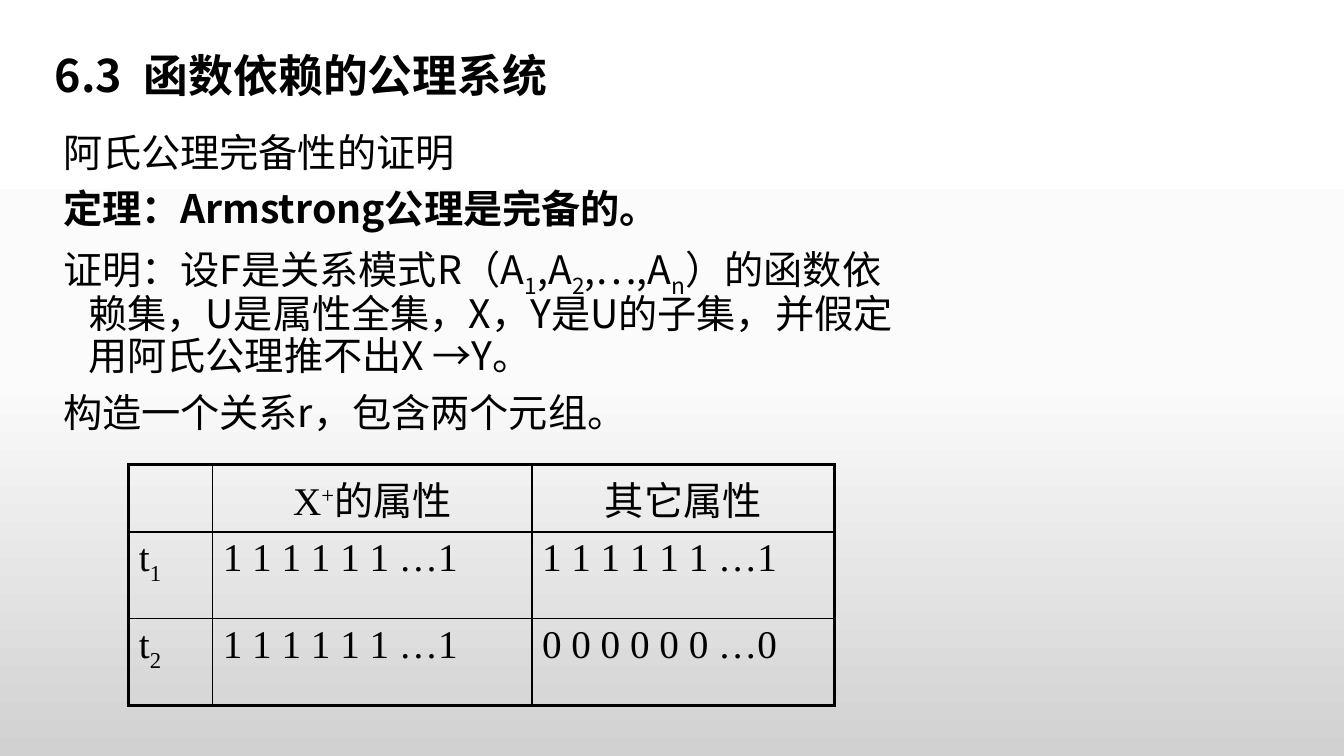
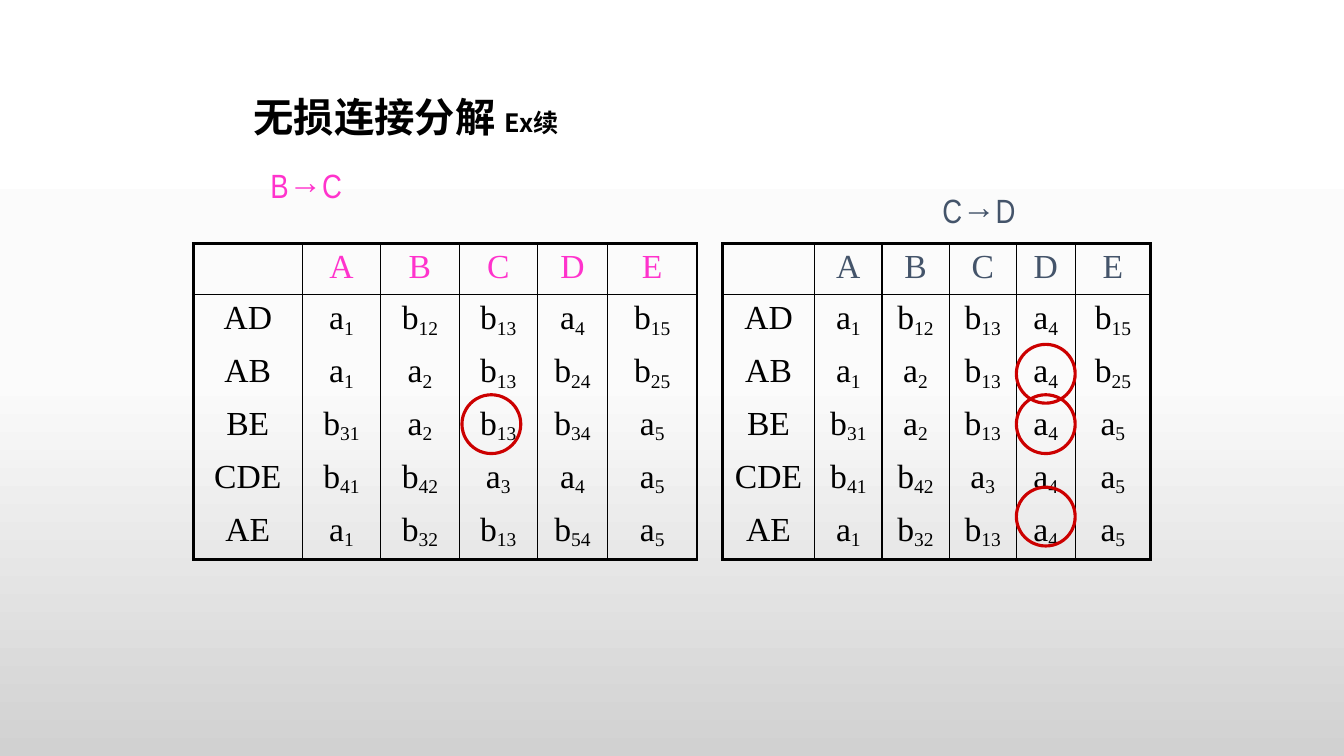
from copy import deepcopy
from dataclasses import dataclass

from pptx import Presentation
from pptx import util as u
from pptx.dml.color import RGBColor
from pptx.enum import shapes, text
from pptx.oxml import ns, xmlchemy

Pt = u.Pt


@dataclass(frozen=True)
class Theme:
    ink: str = "000000"
    pink: str = "FF33CC"
    slate: str = "44546A"
    ring: str = "CC0000"
    backdrop: tuple = ((0, "FFFFFF"), (0.5, "FBFBFB"), (1, "D1D1D1"))
    sans: str = "Noto Sans CJK SC"
    serif: str = "Times New Roman"
    narrow: str = "Arial Narrow"
    heading: float = 32
    subheading: float = 28.8
    body: float = 28
    small: float = 24
    note: float = 18
    line_spacing: float = 0.9
    thick: float = 2.25
    thin: float = 1


THEME = Theme()
SUB = {"baseline": "-25000"}
CELL_SUB = {"baseline": "-16000"}
SUPER = {"baseline": "30000"}


class Deck:
    def __init__(self, theme):
        self.theme = theme
        self.prs = Presentation()
        self.prs.slide_width, self.prs.slide_height = Pt(960), Pt(540)
        self.slide = None
        self.paint_background()

    def paint_background(self):
        master = self.prs.slide_master
        fill = master.background.fill
        fill.gradient()
        fill.gradient_angle = 270
        stop_list = master.element.find(".//" + ns.qn("a:gsLst"))
        stop_list.append(deepcopy(stop_list[-1]))
        for stop, (position, color) in zip(fill.gradient_stops, self.theme.backdrop):
            stop.position = position
            stop.color.rgb = RGBColor.from_string(color)

    def add_runs(self, paragraph, runs, size, font, color, bold=False):
        """Each run is a string or a pair of string and character attributes."""
        for item in runs:
            content, attributes = (item, {}) if isinstance(item, str) else item
            run = paragraph.add_run()
            run.text = content
            run.font.size, run.font.name, run.font.bold = Pt(size), font, bold
            run.font.color.rgb = RGBColor.from_string(color)
            properties = run._r.get_or_add_rPr()
            for key, value in attributes.items():
                properties.set(key, value)
            east_asian = xmlchemy.OxmlElement("a:ea")
            east_asian.set("typeface", self.theme.sans)
            properties.find(ns.qn("a:latin")).addnext(east_asian)

    def title_slide(self, box, parts):
        """Start a slide; each title part is a pair of runs and type size."""
        self.slide = self.prs.slides.add_slide(self.prs.slide_layouts[5])
        title = self.slide.shapes.title
        title.left, title.top, title.width, title.height = map(Pt, box)
        frame = title.text_frame
        frame.auto_size = text.MSO_AUTO_SIZE.NONE
        frame.vertical_anchor = text.MSO_ANCHOR.MIDDLE
        paragraph = frame.paragraphs[0]
        paragraph.alignment = text.PP_ALIGN.LEFT
        paragraph.line_spacing = self.theme.line_spacing
        for runs, size in parts:
            self.add_runs(paragraph, runs, size, self.theme.sans, self.theme.ink, True)

    def body(self, box, paragraphs):
        """Hanging paragraphs, each a pair of runs and boldness."""
        frame = self.slide.shapes.add_textbox(*map(Pt, box)).text_frame
        frame.word_wrap = True
        for index, (runs, bold) in enumerate(paragraphs):
            paragraph = frame.add_paragraph() if index else frame.paragraphs[0]
            paragraph.line_spacing = self.theme.line_spacing
            if index:
                paragraph.space_before = Pt(10)
            properties = paragraph._p.get_or_add_pPr()
            properties.set("marL", str(Pt(18)))
            properties.set("indent", str(-Pt(18)))
            self.add_runs(paragraph, runs, self.theme.body, self.theme.sans,
                          self.theme.ink, bold)

    def label(self, box, content, color):
        frame = self.slide.shapes.add_textbox(*map(Pt, box)).text_frame
        frame.word_wrap = False
        self.add_runs(frame.paragraphs[0], [content], self.theme.small,
                      self.theme.narrow, color)

    def circle(self, left, top, diameter=42):
        ring = self.slide.shapes.add_shape(shapes.MSO_SHAPE.OVAL, Pt(left), Pt(top),
                                           Pt(diameter), Pt(diameter))
        ring.shadow.inherit = False
        ring.fill.background()
        ring.line.color.rgb = RGBColor.from_string(self.theme.ring)
        ring.line.width = Pt(self.theme.thick)

    def cell_borders(self, cell, widths):
        properties = cell._tc.get_or_add_tcPr()
        for side, width in zip("LRTB", widths):
            line = xmlchemy.OxmlElement(f"a:ln{side}")
            properties.append(line)
            if not width:
                line.append(xmlchemy.OxmlElement("a:noFill"))
                continue
            line.set("w", str(Pt(width)))
            fill = xmlchemy.OxmlElement("a:solidFill")
            color = xmlchemy.OxmlElement("a:srgbClr")
            color.set("val", self.theme.ink)
            fill.append(color)
            line.append(fill)

    def table(self, left, top, columns, heights, rows, size,
              header_color, centred_rows, row_lines):
        thick, thin = self.theme.thick, self.theme.thin
        last_row, last_column = len(heights) - 1, len(columns) - 1
        grid = self.slide.shapes.add_table(
            len(heights), len(columns), Pt(left), Pt(top),
            Pt(sum(columns)), Pt(sum(heights))).table
        grid.first_row = grid.horz_banding = False
        for column, width in zip(grid.columns, columns):
            column.width = Pt(width)
        for row, height in zip(grid.rows, heights):
            row.height = Pt(height)

        def rule_above(r):
            if r in (0, last_row + 1):
                return thick
            return thin if row_lines or r == 1 else 0

        for r, row in enumerate(rows):
            for c, runs in enumerate(row):
                cell = grid.cell(r, c)
                self.cell_borders(cell, (thick if c == 0 else thin,
                                         thick if c == last_column else thin,
                                         rule_above(r), rule_above(r + 1)))
                cell.fill.background()
                paragraph = cell.text_frame.paragraphs[0]
                if r < centred_rows:
                    paragraph.alignment = text.PP_ALIGN.CENTER
                self.add_runs(paragraph, runs, size, self.theme.serif,
                              self.theme.ink if r else header_color)


def symbol_runs(symbol):
    """Split b12 into its letter and its lowered index."""
    letters = symbol.rstrip("0123456789")
    index = symbol[len(letters):]
    return [letters, (index, CELL_SUB)] if index else [letters]


def completeness_proof(deck):
    theme = deck.theme
    deck.title_slide((32, 26, 612, 60), [
        (["6.3", (" ", {"spc": "800"}), "函数依赖的公理系统"], theme.heading)])
    deck.body((38, 92, 624, 258), [
        (["阿氏公理完备性的证明"], False),
        (["定理：Armstrong公理是完备的。"], True),
        (["证明：设F是关系模式R（A", ("1", SUB), ",A", ("2", SUB), ",…,A", ("n", SUB),
          "）的函数依赖集，U是属性全集，X，Y是U的子集，并假定用阿氏公理推不出X →Y。"], False),
        (["构造一个关系r，包含两个元组。"], False),
    ])
    # Relation r with its two tuples
    ones, zeros = ["1 1 1 1 1 1 …1"], ["0 0 0 0 0 0 …0"]
    deck.table(92, 332, (60, 228, 216), (48, 62, 62), [
        [[], ["X", ("+", SUPER), "的属性"], ["其它属性"]],
        [["t", ("1", SUB)], ones, ones],
        [["t", ("2", SUB)], ones, zeros],
    ], theme.body, theme.ink, centred_rows=1, row_lines=True)


def lossless_join(deck):
    theme = deck.theme
    deck.title_slide((174, 67, 612, 37), [
        (["无损连接分解 "], theme.subheading), (["Ex续"], theme.note)])
    deck.label((186, 114, 66, 36), "B→C", theme.pink)
    deck.label((666, 132, 78, 36), "C→D", theme.slate)

    # Tableau after each dependency; C→D equates column D in three more rows
    after_bc = [["", *"ABCDE"]] + [line.split() for line in (
        "AD a1 b12 b13 a4 b15",
        "AB a1 a2 b13 b24 b25",
        "BE b31 a2 b13 b34 a5",
        "CDE b41 b42 a3 a4 a5",
        "AE a1 b32 b13 b54 a5",
    )]
    after_cd = deepcopy(after_bc)
    for row in after_cd[1:]:
        row[4] = "a4"

    heights = [36.5] + [37.8] * 5
    for left, columns, tableau, color in (
            (138, (78, 56, 56, 56, 50, 64), after_bc, theme.pink),
            (516, (66, 48, 48, 48, 42, 54), after_cd, theme.slate)):
        rows = [[symbol_runs(symbol) if symbol else [] for symbol in row]
                for row in tableau]
        deck.table(left, 174, columns, heights, rows, theme.small, color,
                   centred_rows=len(rows), row_lines=False)

    # Rings around the changed symbols
    for left, top in ((330, 282), (726, 246), (726, 282), (726, 348)):
        deck.circle(left, top)


def main():
    deck = Deck(THEME)
    completeness_proof(deck)
    lossless_join(deck)
    deck.prs.save("out.pptx")


if __name__ == "__main__":
    main()
